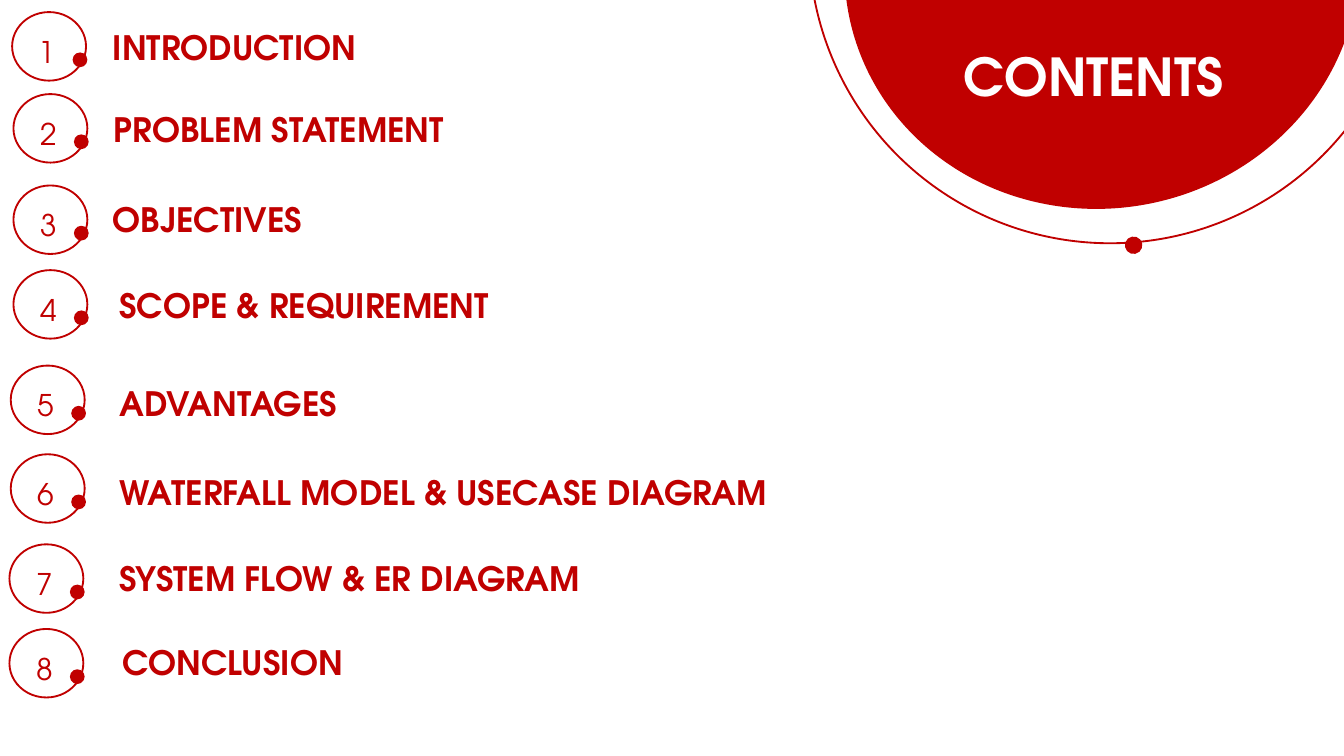
import pptx
import pptx.util
import pptx.dml.color
import pptx.enum.shapes
import pptx.enum.text

Inches = pptx.util.Inches
RED = pptx.dml.color.RGBColor(0xC0, 0x00, 0x00)
WHITE = pptx.dml.color.RGBColor(0xFF, 0xFF, 0xFF)
FONT = "TeX Gyre Adventor"

# Content: entry, badge left and top, label left, top and width
TITLE = "CONTENTS"
ENTRIES = [
    ("INTRODUCTION", 0.09, 0.09, 0.74, 0.15, 2.03),
    ("PROBLEM STATEMENT", 0.1, 0.7, 0.75, 0.76, 2.7),
    ("OBJECTIVES", 0.1, 1.38, 0.74, 1.43, 1.63),
    ("SCOPE & REQUIREMENT", 0.1, 2.01, 0.79, 2.07, 2.98),
    ("ADVANTAGES", 0.08, 2.72, 0.79, 2.8, 1.89),
    ("WATERFALL MODEL & USECASE DIAGRAM", 0.08, 3.38, 0.79, 3.46, 5.12),
    ("SYSTEM FLOW & ER DIAGRAM", 0.07, 4.05, 0.79, 4.1, 3.7),
    ("CONCLUSION", 0.07, 4.68, 0.81, 4.73, 1.87),
]
TILT = 348.8  # rotation of the corner circles


def add_ellipse(shapes, x, y, w, h, filled=True, rotation=0):
    """Add a solid red ellipse, or a thin red ring."""
    sp = shapes.add_shape(pptx.enum.shapes.MSO_SHAPE.OVAL,
                          Inches(x), Inches(y), Inches(w), Inches(h))
    sp.shadow.inherit = False
    sp.rotation = rotation
    if filled:
        sp.fill.solid()
        sp.fill.fore_color.rgb = RED
        sp.line.fill.background()
    else:
        sp.fill.background()
        sp.line.color.rgb = RED
        sp.line.width = pptx.util.Pt(1)
    return sp


def write(sp, text, size, color=RED, bold=False, wrap=True,
          align=pptx.enum.text.PP_ALIGN.LEFT):
    tf = sp.text_frame
    tf.text = text
    tf.word_wrap = wrap
    tf.vertical_anchor = pptx.enum.text.MSO_ANCHOR.TOP
    p = tf.paragraphs[0]
    p.alignment = align
    font = p.runs[0].font
    font.name, font.size, font.bold = FONT, pptx.util.Pt(size), bold
    font.color.rgb = color
    return tf


def add_text(shapes, x, y, w, h, text, size, **style):
    sp = shapes.add_textbox(Inches(x), Inches(y), Inches(w), Inches(h))
    return write(sp, text, size, **style)


# Widescreen slide, 16:9
prs = pptx.Presentation()
prs.slide_width = Inches(10)
prs.slide_height = prs.slide_width * 9 // 16
s = prs.slides.add_slide(prs.slide_layouts[5])
JUSTIFY = pptx.enum.text.PP_ALIGN.JUSTIFY

# Corner circle with its ring and dot
add_ellipse(s.shapes, 6.28, -2.07, 3.84, 3.62, rotation=TILT)
orbit = s.shapes.add_group_shape()
add_ellipse(orbit.shapes, 8.37, 1.76, 0.13, 0.13, rotation=TILT)
add_ellipse(orbit.shapes, 6.02, -2.67, 4.48, 4.48, filled=False, rotation=TILT)

# Title, brought in front of the corner circle
title = s.shapes.title
title.left, title.top = Inches(7.1), Inches(0.29)
title.width, title.height = Inches(3.14), Inches(0.75)
tf = write(title, TITLE, 28, color=WHITE, bold=True, align=JUSTIFY)
tf.auto_size = pptx.enum.text.MSO_AUTO_SIZE.NONE
tf.margin_left = tf.margin_right = Inches(0.07)
tf.margin_top = tf.margin_bottom = Inches(0.04)
orbit.element.addnext(title.element)

# Numbered badges and their labels
for number, (label, x, y, label_x, label_y, label_w) in enumerate(ENTRIES, 1):
    badge = s.shapes.add_group_shape()
    add_text(badge.shapes, x + 0.1, y + 0.11, 0.34, 0.39, str(number), 16,
             align=JUSTIFY)
    add_ellipse(badge.shapes, x, y, 0.55, 0.51, filled=False)
    add_ellipse(badge.shapes, x + 0.45, y + 0.3, 0.11, 0.11)
    tf = add_text(s.shapes, label_x, label_y, label_w, 0.4, label, 18,
                  bold=True, wrap=False)
    tf.auto_size = pptx.enum.text.MSO_AUTO_SIZE.SHAPE_TO_FIT_TEXT

prs.save("out.pptx")
